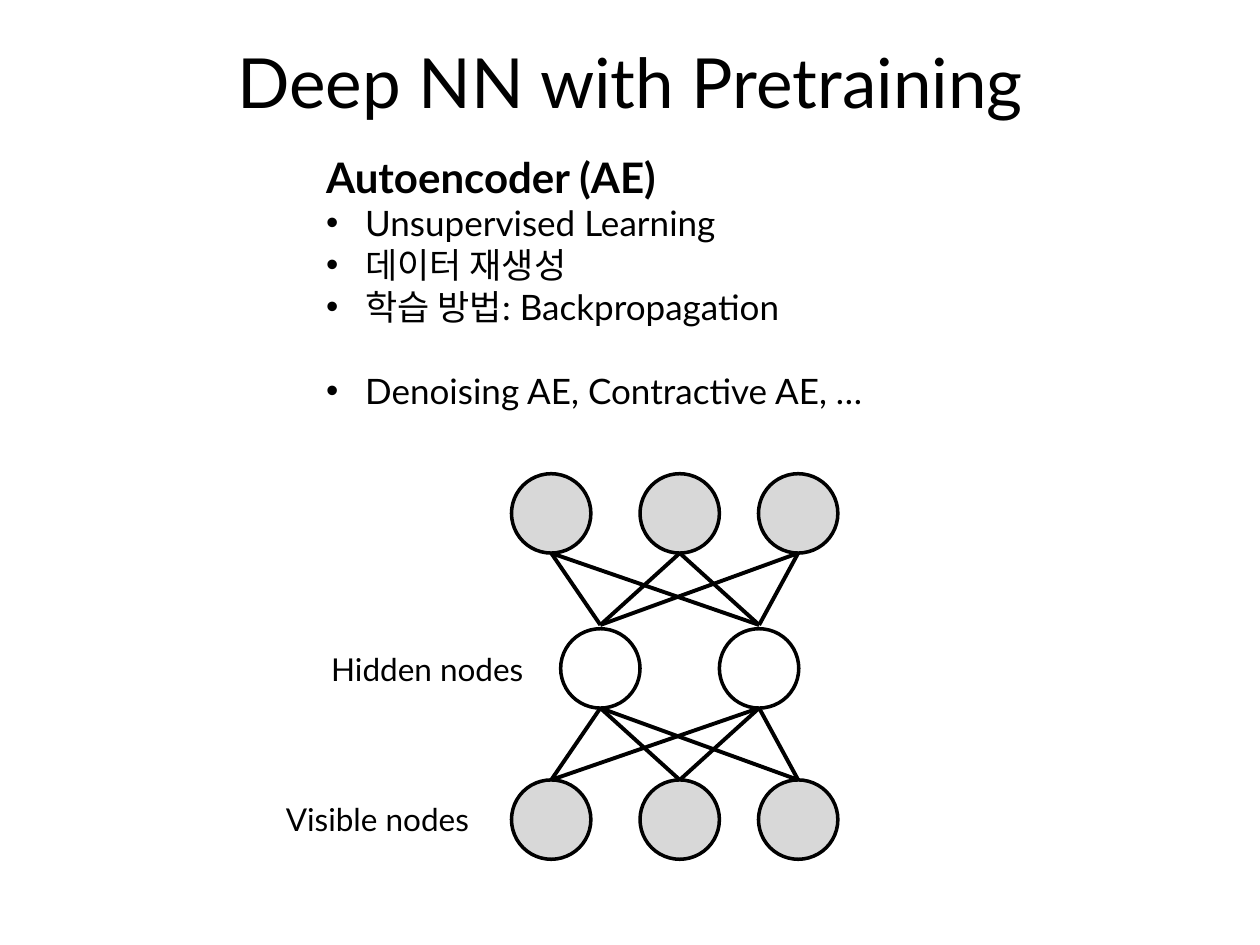
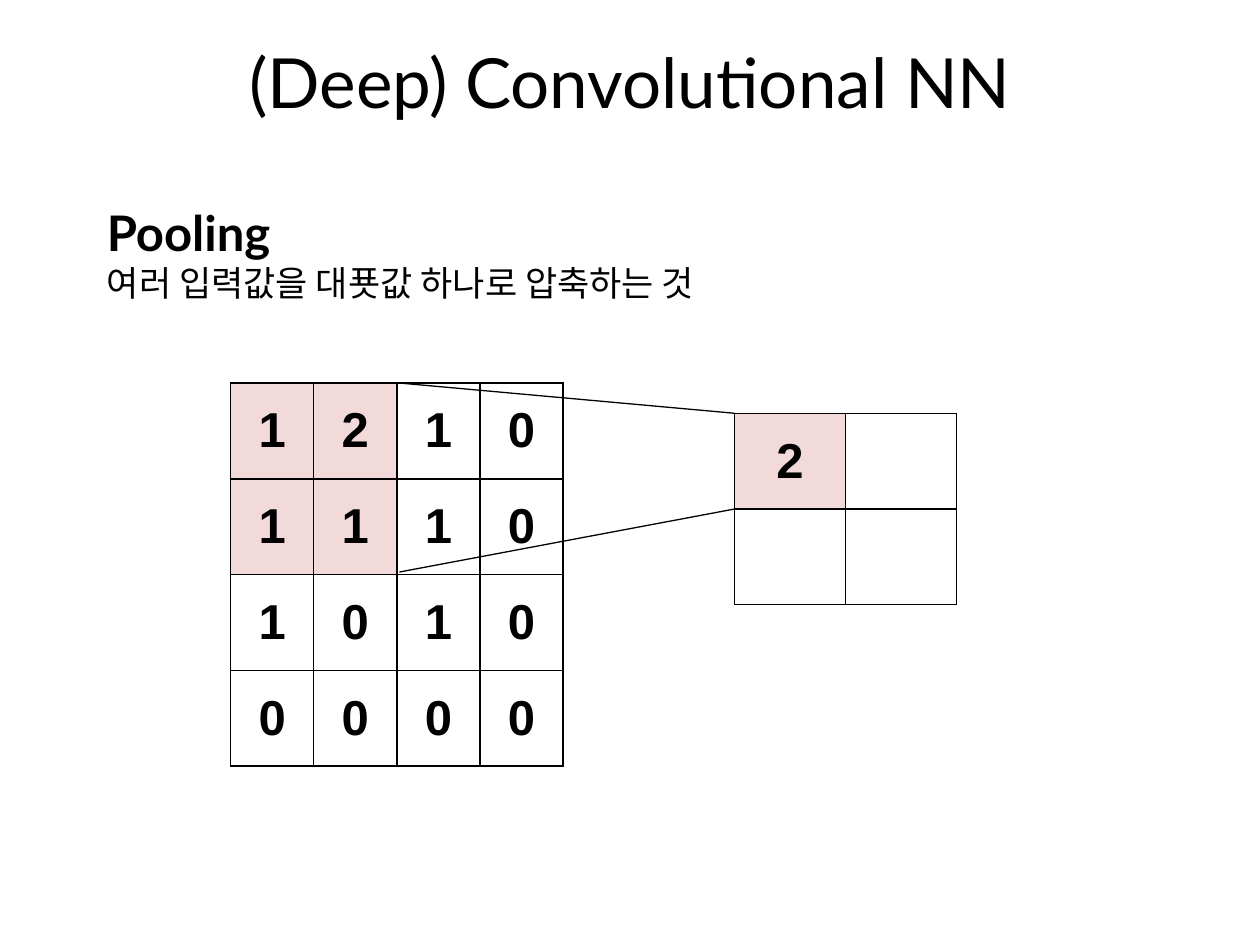
from itertools import product

from lxml import etree
from pptx import Presentation
from pptx.dml.color import RGBColor
from pptx.enum import shapes, text
from pptx.oxml import ns
from pptx.util import Inches, Pt

BLACK = RGBColor(0, 0, 0)
WHITE = RGBColor(255, 255, 255)
GREY = RGBColor(0xD8, 0xD8, 0xD8)
PINK = RGBColor(0xF2, 0xDA, 0xDA)
FONT = "Lato"


def put(frame, words, size=20, bold=False, font=FONT, align=None,
        bullet=False, before=0):
    """Write words in the empty first paragraph or in a new one."""
    para = frame.paragraphs[0]
    if para.runs:
        para = frame.add_paragraph()
    if bullet:
        props = para._p.get_or_add_pPr()
        props.set("marL", str(Inches(0.31)))
        props.set("indent", str(-Inches(0.31)))
        etree.SubElement(props, ns.qn("a:buFont"), typeface="Arial")
        etree.SubElement(props, ns.qn("a:buChar"), char="•")
    if before:
        para.space_before = Pt(before)
    if align:
        para.alignment = align
    run = para.add_run()
    run.text = words
    run.font.name, run.font.size, run.font.bold = font, Pt(size), bold
    run.font.color.rgb = BLACK


def join(slide, start, end, width):
    """Draw a plain black line between two points in inches."""
    line = slide.shapes.add_connector(
        shapes.MSO_CONNECTOR.STRAIGHT, *map(Inches, start + end))
    line.line.color.rgb = BLACK
    line.line.width = Pt(width)
    etree.SubElement(line._element.spPr, ns.qn("a:effectLst"))


deck = Presentation()
deck.slide_width, deck.slide_height = Inches(10), Inches(7.5)
MID = text.PP_ALIGN.CENTER

# Slides with their shared title style
slides = []
for head in ("Deep NN with Pretraining", "(Deep) Convolutional NN"):
    slide = deck.slides.add_slide(deck.slide_layouts[5])
    title = slide.shapes.title
    title.left, title.top = Inches(0.5), Inches(0.3)
    title.width, title.height = Inches(9), Inches(0.69)
    title.text_frame.auto_size = text.MSO_AUTO_SIZE.NONE
    title.text_frame.vertical_anchor = text.MSO_ANCHOR.MIDDLE
    put(title.text_frame, head, size=39.5, align=MID)
    slides.append(slide)
coder, pool = slides

# Text boxes: slide, place, lines with their format
bold = dict(size=24, bold=True)
item = dict(bullet=True)
boxes = [
    (coder, (2.49, 1.15, 5.03, 2.19), [
        ("Autoencoder (AE)", bold),
        ("Unsupervised Learning", item),
        ("데이터 재생성", item),
        ("학습 방법: Backpropagation", item),
        ("Denoising AE, Contractive AE, …", dict(bullet=True, before=24))]),
    (coder, (2.17, 6.3, 1.81, 0.4), [("Visible nodes", dict(size=18))]),
    (coder, (2.53, 5.11, 1.81, 0.4), [("Hidden nodes", dict(size=18))]),
    (pool, (0.75, 1.56, 7.17, 0.91), [
        ("Pooling", dict(size=28, bold=True)),
        ("여러 입력값을 대푯값 하나로 압축하는 것", {})]),
]
for slide, place, lines in boxes:
    frame = slide.shapes.add_textbox(*map(Inches, place)).text_frame
    frame.word_wrap = True
    for words, form in lines:
        put(frame, words, **form)

# Network nodes, layer by layer
SIDE = 0.63
outer = (4.06, 5.08, 6.02)
inner = (4.45, 5.71)
layers = [(3.76, outer, GREY), (4.99, inner, WHITE), (6.19, outer, GREY)]
for top, lefts, fill in layers:
    for left in lefts:
        node = coder.shapes.add_shape(
            shapes.MSO_SHAPE.OVAL, *map(Inches, (left, top, SIDE, SIDE)))
        node.shadow.inherit = False
        node.fill.solid()
        node.fill.fore_color.rgb = fill
        node.line.color.rgb = BLACK
        node.line.width = Pt(2)

# Every outer node meets every hidden node
for far, near in product(outer, inner):
    far, near = far + SIDE / 2, near + SIDE / 2
    join(coder, (far, 4.39), (near, 4.96), 2.25)
    join(coder, (near, 5.62), (far, 6.19), 2.25)

# Pooling grids: place, cell width, values, size of the pink corner
ROW = 0.76
grids = [
    (1.83, 3.04, 0.66, ["1210", "1110", "1010", "0000"], 2),
    (5.83, 3.28, 0.88, ["2 ", "  "], 1),
]
for left, top, wide, rows, pink in grids:
    count = len(rows)
    table = pool.shapes.add_table(count, count, *map(
        Inches, (left, top, wide * count, ROW * count))).table
    table.first_row = table.horz_banding = False
    for r, c in product(range(count), repeat=2):
        cell = table.cell(r, c)
        cell.vertical_anchor = text.MSO_ANCHOR.MIDDLE
        if rows[r][c] != " ":
            put(cell.text_frame, rows[r][c], size=28, bold=True,
                font="Arial", align=MID)
        # Borders come before the fill in the cell properties
        props = cell._tc.get_or_add_tcPr()
        for edge in ("lnL", "lnR", "lnT", "lnB"):
            rule = etree.SubElement(props, ns.qn("a:" + edge), w=str(Pt(1)))
            paint = etree.SubElement(rule, ns.qn("a:solidFill"))
            etree.SubElement(paint, ns.qn("a:srgbClr"), val=str(BLACK))
        cell.fill.solid()
        cell.fill.fore_color.rgb = PINK if max(r, c) < pink else WHITE

# Lines from the pooled corner to its result
join(pool, (3.17, 3.04), (5.83, 3.28), 0.75)
join(pool, (3.17, 4.54), (5.83, 4.04), 0.75)

deck.save("out.pptx")
